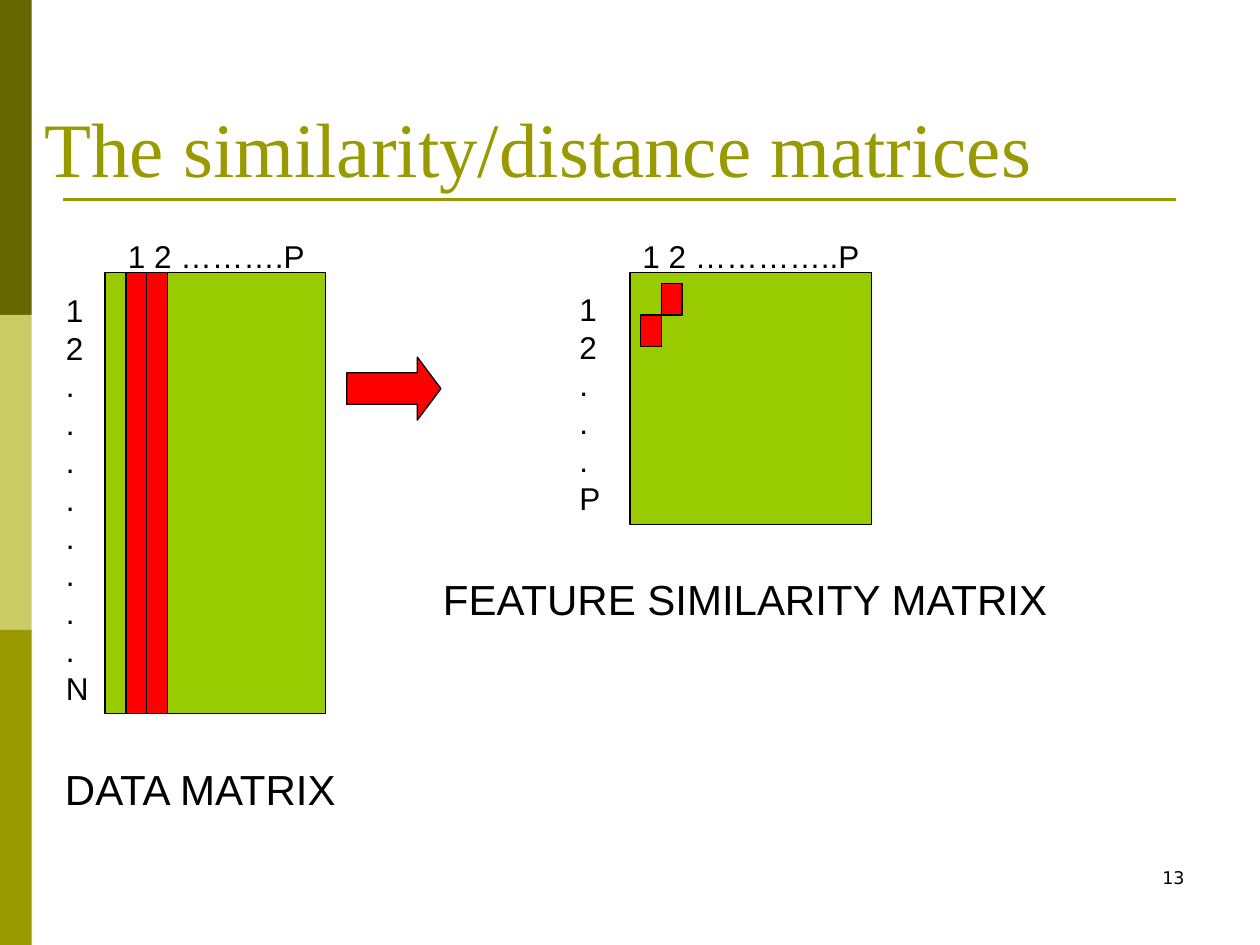
import pptx
import pptx.util
import pptx.dml.color
import pptx.enum.shapes
import pptx.enum.text
import pptx.oxml.ns
from lxml import etree

Cm, Pt = pptx.util.Cm, pptx.util.Pt
SHAPE = pptx.enum.shapes.MSO_SHAPE
ALIGN = pptx.enum.text.PP_ALIGN
ANCHOR = pptx.enum.text.MSO_ANCHOR

THEME = {
    "dark": "666600", "pale": "CCCC66", "olive": "999900",
    "matrix": "99CC00", "mark": "FF0000", "ink": "000000",
    "title_font": "Times New Roman", "body_font": "Arial", "number_font": "DejaVu Sans",
    "title": 44, "caption": 24, "label": 18, "number": 10,
}

# Content; boxes are left, top, width, height in cm
TITLE = "The similarity/distance matrices"
PAGE = "13"
STRIPES = ["dark", "pale", "olive"]
DATA = (2.12, 5.5, 4.45, 8.89)
FEATURE = (12.7, 5.5, 4.87, 5.08)
ARROW = (6.99, 7.2, 1.9, 1.27)
CELL_W, CELL_H = 0.42, 0.64
LABELS = [  # text, box, size, wrap
    ("1 2 ……….P", (2.33, 4.66, 4.55, 1.02), "label", True),
    ("1 2 …………..P", (12.7, 4.66, 5.29, 1.02), "label", True),
    ("\n".join("12........N"), (1.08, 5.74, 0.97, 8.64), "label", False),
    ("\n".join("12...P"), (11.43, 5.72, 0.97, 4.83), "label", True),
    ("DATA MATRIX", (1.06, 15.27, 6.2, 1.27), "caption", False),
    ("FEATURE SIMILARITY MATRIX", (8.68, 11.43, 13.34, 1.27), "caption", True),
]


def rgb(name):
    return pptx.dml.color.RGBColor.from_string(THEME[name])


def write(tf, text, *, size, font="body_font", color="ink", align=ALIGN.LEFT,
          anchor=ANCHOR.TOP, wrap=True, leading=None):
    tf.word_wrap = wrap
    tf.auto_size = pptx.enum.text.MSO_AUTO_SIZE.NONE
    tf.vertical_anchor = anchor
    tf.text = text
    for p in tf.paragraphs:
        p.alignment = align
        if leading:
            p.line_spacing = Pt(leading * THEME[size])
        for r in p.runs:
            r.font.name = THEME[font]
            r.font.size = Pt(THEME[size])
            r.font.color.rgb = rgb(color)


def add_block(s, box, fill, outline=True, kind=SHAPE.RECTANGLE):
    sp = s.shapes.add_shape(kind, *map(Cm, box))
    sp.shadow.inherit = False
    sp.fill.solid()
    sp.fill.fore_color.rgb = rgb(fill)
    if outline:
        sp.line.color.rgb = rgb("ink")
        sp.line.width = Pt(0.75)
    else:
        sp.line.fill.background()
    return sp


def add_text(s, text, box, **fmt):
    write(s.shapes.add_textbox(*map(Cm, box)).text_frame, text, **fmt)


prs = pptx.Presentation()
prs.slide_width, prs.slide_height = Cm(25.4), Cm(19.05)
s = prs.slides.add_slide(prs.slide_layouts[5])

# Side stripes and title rule
for i, color in enumerate(STRIPES):
    add_block(s, (0, 6.35 * i, 0.64, 6.35), color, outline=False)
rule = s.shapes.add_connector(pptx.enum.shapes.MSO_CONNECTOR.STRAIGHT,
                              Cm(1.27), Cm(4.02), Cm(23.7), Cm(4.02))
rule.line.color.rgb = rgb("olive")
rule.line.width = Pt(1.5)
etree.SubElement(rule._element.spPr, pptx.oxml.ns.qn("a:effectLst"))

# Title and page number
title = s.shapes.title
title.left, title.top, title.width, title.height = map(Cm, (0.64, 0.85, 22.86, 3.17))
write(title.text_frame, TITLE, size="title", font="title_font", color="olive",
      anchor=ANCHOR.BOTTOM)
add_text(s, PAGE, (18.2, 17.35, 5.93, 1.27), size="number", font="number_font",
         align=ALIGN.RIGHT)

# Data matrix with columns 1 and 2 marked
left, top, _, height = DATA
add_block(s, DATA, "matrix")
for col in (1, 2):
    add_block(s, (left + col * CELL_W, top, CELL_W, height), "mark")

# Arrow from the data to the feature similarities
arrow = add_block(s, ARROW, "mark", kind=SHAPE.RIGHT_ARROW)
arrow.adjustments[0], arrow.adjustments[1] = 0.5, 0.375

# Feature matrix with the symmetric cells (1, 2) and (2, 1) marked
left, top = FEATURE[:2]
add_block(s, FEATURE, "matrix")
for row, col in ((0, 1), (1, 0)):
    add_block(s, (left + 0.21 + col * CELL_W, top + 0.21 + row * CELL_H, CELL_W, CELL_H),
              "mark")

# Row and column labels, captions
for text, box, size, wrap in LABELS:
    add_text(s, text, box, size=size, wrap=wrap, leading=1.2)

prs.save("out.pptx")
